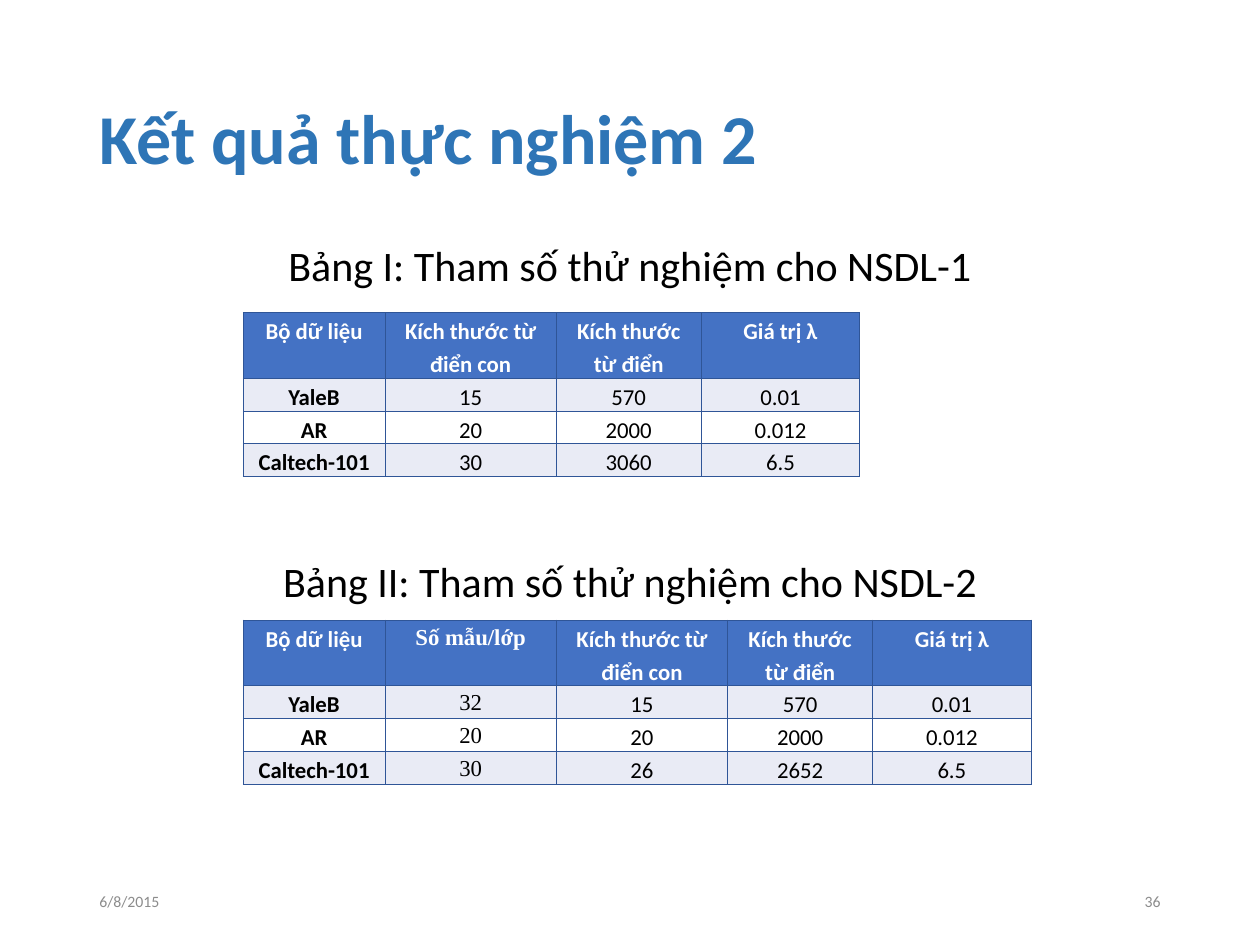
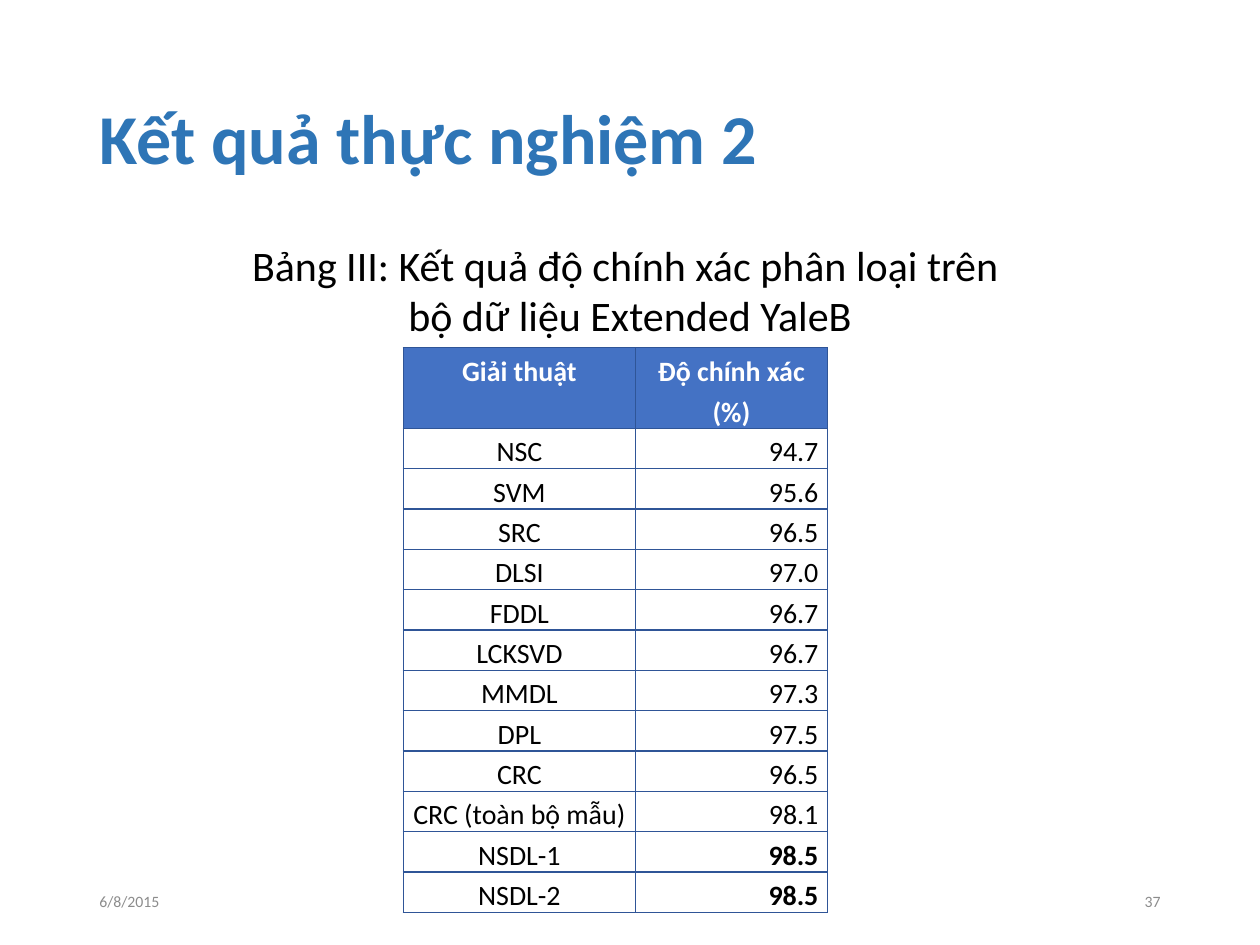
"""Build two slides with the parameter and accuracy tables of experiment 2."""
from lxml.etree import SubElement
from pptx import Presentation
from pptx.dml.color import RGBColor
from pptx.enum.text import MSO_ANCHOR, PP_ALIGN
from pptx.oxml.ns import qn
from pptx.util import Inches, Pt

COLUMNS, ROWS = 100, 75
COLUMN, ROW = Inches(10) // COLUMNS, Inches(7.5) // ROWS
FONT, SAMPLE_FONT = "Calibri", "Times New Roman"
TITLE, FOOTER, BLACK, WHITE = "2E75B6", "8C8C8C", "000000", "FFFFFF"
HEADER, BAND, BORDER = "4472C4", "E9EBF5", "2F5597"
MARGIN = 6.9
FOOTER_TOP, FOOTER_WIDTH = 69.5, 22.5
LEFT, CENTER, RIGHT = PP_ALIGN.LEFT, PP_ALIGN.CENTER, PP_ALIGN.RIGHT
color = RGBColor.from_string


def write(frame, text, size, ink, align=LEFT, bold=False, font=FONT, spacing=1.0):
    """Fill a text frame with one evenly styled paragraph per line."""
    frame.text = text
    for para in frame.paragraphs:
        para.alignment = align
        para.line_spacing = spacing
        para.font.name = font
        para.font.size = Pt(size)
        para.font.bold = bold
        para.font.color.rgb = color(ink)


def draw_table(page, left, top, widths, row_height, size, line, records, fills, aligns, is_bold):
    """Draw a bordered table whose header is two rows high."""
    table = page.shapes.add_table(
        len(records), len(widths), int(left * COLUMN), int(top * ROW),
        int(sum(widths) * COLUMN), int((len(records) + 1) * row_height * ROW)).table
    table.first_row = table.horz_banding = False
    for column, width in zip(table.columns, widths):
        column.width = int(width * COLUMN)
    for r, record in enumerate(records):
        table.rows[r].height = int(row_height * ROW * (1 if r else 2))
        for c, text in enumerate(record):
            cell = table.cell(r, c)
            cell.margin_left = cell.margin_right = Inches(0.07)
            cell.margin_top = cell.margin_bottom = 0
            font = SAMPLE_FONT if records[0][c] == "Số mẫu/lớp" else FONT
            write(cell.text_frame, text, size, BLACK if r else WHITE,
                  aligns[c] if r else CENTER, r == 0 or is_bold(r, c), font, 1.2)
            properties = cell._tc.get_or_add_tcPr()
            for side in ("a:lnL", "a:lnR", "a:lnT", "a:lnB"):
                edge = SubElement(properties, qn(side), w=str(Pt(line)))
                SubElement(SubElement(edge, qn("a:solidFill")), qn("a:srgbClr"), val=BORDER)
            fill = HEADER if r == 0 else fills[r % 2]
            if fill:
                cell.fill.solid()
                cell.fill.fore_color.rgb = color(fill)
            else:
                cell.fill.background()


deck = Presentation()
deck.slide_width, deck.slide_height = COLUMNS * COLUMN, ROWS * ROW

captions = [
    [("Bảng I: Tham số thử nghiệm cho NSDL-1", 18.5, 56.7, 5),
     ("Bảng II: Tham số thử nghiệm cho NSDL-2", 43.6, 57.5, 5)],
    [("Bảng III: Kết quả độ chính xác phân loại trên \nbộ dữ liệu Extended YaleB", 18.5, 62.5, 9.1)],
]
pages = []
for number, page_captions in enumerate(captions, 36):
    page = deck.slides.add_slide(deck.slide_layouts[6])
    pages.append(page)
    blocks = [
        ("Kết quả thực nghiệm 2", MARGIN, 4, COLUMNS - 2 * MARGIN, 14.5, 40, TITLE, LEFT, True, 0.9),
        ("6/8/2015", MARGIN, FOOTER_TOP, FOOTER_WIDTH, 4, 9, FOOTER, LEFT, False, 1.0),
        (str(number), COLUMNS - MARGIN - FOOTER_WIDTH, FOOTER_TOP, FOOTER_WIDTH, 4,
         9, FOOTER, RIGHT, False, 1.0),
    ]
    for text, top, width, height in page_captions:
        blocks.append((text, (COLUMNS - width) / 2, top, width, height, 24, BLACK, CENTER, False, 1.0))
    for text, left, top, width, height, size, ink, align, bold, spacing in blocks:
        box = page.shapes.add_textbox(
            int(left * COLUMN), int(top * ROW), int(width * COLUMN), int(height * ROW))
        is_caption = align == CENTER
        box.text_frame.word_wrap = not is_caption
        box.text_frame.vertical_anchor = MSO_ANCHOR.TOP if is_caption else MSO_ANCHOR.MIDDLE
        write(box.text_frame, text, size, ink, align, bold, spacing=spacing)

parameters_1 = [
    ("Bộ dữ liệu", "Kích thước từ điển con", "Kích thước từ điển", "Giá trị λ"),
    ("YaleB", "15", "570", "0.01"),
    ("AR", "20", "2000", "0.012"),
    ("Caltech-101", "30", "3060", "6.5"),
]
parameters_2 = [
    ("Bộ dữ liệu", "Số mẫu/lớp", "Kích thước từ điển con", "Kích thước từ điển", "Giá trị λ"),
    ("YaleB", "32", "15", "570", "0.01"),
    ("AR", "20", "20", "2000", "0.012"),
    ("Caltech-101", "30", "26", "2652", "6.5"),
]
accuracies = [
    ("Giải thuật", "Độ chính xác (%)"),
    ("NSC", "94.7"), ("SVM", "95.6"), ("SRC", "96.5"), ("DLSI", "97.0"),
    ("FDDL", "96.7"), ("LCKSVD", "96.7"), ("MMDL", "97.3"), ("DPL", "97.5"),
    ("CRC", "96.5"), ("CRC (toàn bộ mẫu)", "98.1"), ("NSDL-1", "98.5"), ("NSDL-2", "98.5"),
]
for top, widths, records in [
    (24.8, (11.25, 13.6, 11.5, 12.6), parameters_1),
    (49.2, (11.25, 13.6, 13.6, 11.5, 12.6), parameters_2),
]:
    draw_table(pages[0], 19.3, top, widths, 2.6, 13, 0.5, records,
               (WHITE, BAND), [CENTER] * len(widths), lambda r, c: c == 0)
draw_table(pages[1], 32, 27.6, (18.45, 15.2), 3.2, 16, 0.75, accuracies,
           (None, None), (CENTER, RIGHT), lambda r, c: c == 1 and r > 10)

deck.save("out.pptx")
